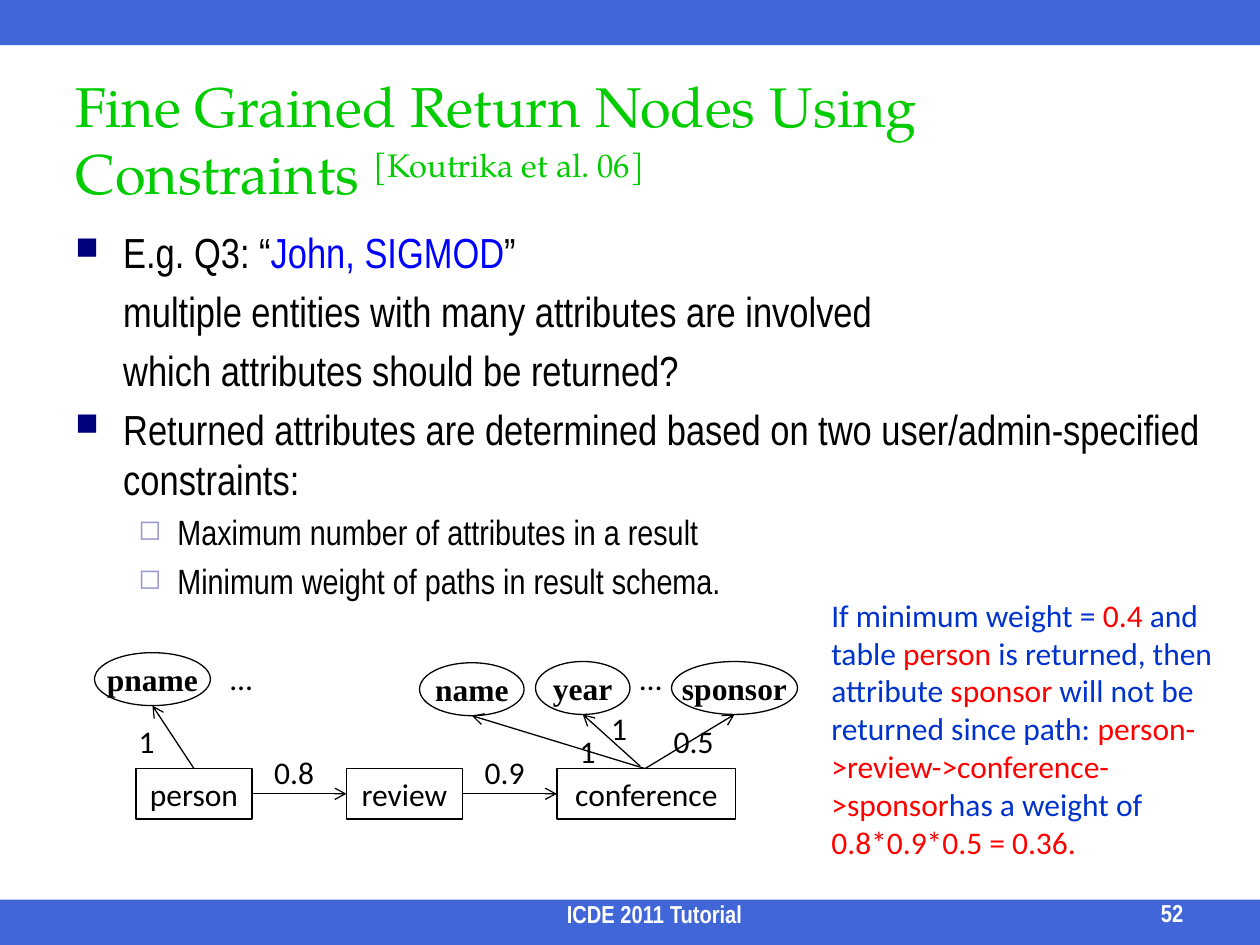
from lxml import etree
from pptx import Presentation
from pptx.dml.color import RGBColor
from pptx.enum.shapes import MSO_CONNECTOR, MSO_SHAPE
from pptx.enum.text import MSO_ANCHOR, PP_ALIGN
from pptx.oxml.ns import qn
from pptx.util import Inches, Pt

RECT, OVAL, STRAIGHT = MSO_SHAPE.RECTANGLE, MSO_SHAPE.OVAL, MSO_CONNECTOR.STRAIGHT
LEFT, CENTER, RIGHT = PP_ALIGN.LEFT, PP_ALIGN.CENTER, PP_ALIGN.RIGHT
TOP, MIDDLE, BOTTOM = MSO_ANCHOR.TOP, MSO_ANCHOR.MIDDLE, MSO_ANCHOR.BOTTOM

COLORS = {
    "black": "000000", "white": "FFFFFF", "blue": "0033CC", "query": "0000FF",
    "green": "00CC00", "red": "FF0000", "navy": "00007D", "lilac": "9999CC",
}
TITLE_FONT, BODY_FONT = "TeX Gyre Pagella", "Arial Narrow"
LABEL_FONT, ATTRIBUTE_FONT = "Calibri", "Times New Roman"


def rgb(color):
    return RGBColor.from_string(COLORS[color])


def add_xml(parent, tag, **attributes):
    child = etree.SubElement(parent, qn(tag))
    for key, value in attributes.items():
        child.set(key, str(value))
    return child


class SlideBuilder:
    def __init__(self, slide):
        self.shapes = slide.shapes

    def add_runs(self, paragraph, parts, size, font, bold=False, align=LEFT):
        """Fill a paragraph with (text, colour) parts that share one style."""
        paragraph.alignment = align
        for text, color in parts:
            run = paragraph.add_run()
            run.text = text
            run.font.size = Pt(size)
            run.font.name = font
            run.font.bold = bold
            run.font.color.rgb = rgb(color)

    def frame(self, left, top, width, height, anchor=TOP):
        box = self.shapes.add_textbox(Inches(left), Inches(top), Inches(width), Inches(height))
        box.text_frame.word_wrap = True
        box.text_frame.vertical_anchor = anchor
        return box.text_frame

    def text(self, box, parts, size=18, font=LABEL_FONT, bold=False, align=LEFT, anchor=TOP):
        paragraph = self.frame(*box, anchor).paragraphs[0]
        self.add_runs(paragraph, parts, size, font, bold, align)
        return paragraph

    def label(self, left, top, text):
        self.text((left, top, 0.67, 0.4), [(text, "black")], align=CENTER)

    def shape(self, kind, left, top, width, height):
        shape = self.shapes.add_shape(
            kind, Inches(left), Inches(top), Inches(width), Inches(height))
        shape.shadow.inherit = False
        return shape

    def bar(self, top):
        bar = self.shape(RECT, 0, top, 10, 0.36)
        bar.fill.solid()
        bar.fill.fore_color.rgb = rgb("blue")
        fill_color = bar._element.spPr.find(qn("a:solidFill")).find(qn("a:srgbClr"))
        add_xml(fill_color, "a:alpha", val=75000)
        bar.line.fill.background()

    def node(self, kind, left, top, width, height, name):
        node = self.shape(kind, left, top, width, height)
        node.fill.background()
        node.line.color.rgb = rgb("black")
        node.line.width = Pt(0.75)
        is_table = kind == RECT
        frame = node.text_frame
        frame.word_wrap = is_table
        frame.vertical_anchor = TOP if is_table else MIDDLE
        self.add_runs(frame.paragraphs[0], [(name, "black")], 18,
                      LABEL_FONT if is_table else ATTRIBUTE_FONT, not is_table, CENTER)

    def arrow(self, x1, y1, x2, y2):
        arrow = self.shapes.add_connector(
            STRAIGHT, Inches(x1), Inches(y1), Inches(x2), Inches(y2))
        arrow.line.color.rgb = rgb("black")
        arrow.line.width = Pt(0.75)
        properties = arrow._element.spPr
        add_xml(properties.find(qn("a:ln")), "a:tailEnd", type="arrow")
        add_xml(properties, "a:effectLst")

    def outline(self, box, items):
        """Add (parts, size, left margin, hang, bullet) items as paragraphs."""
        frame = self.frame(*box)
        for index, (parts, size, margin, hang, bullet) in enumerate(items):
            paragraph = frame.add_paragraph() if index else frame.paragraphs[0]
            self.add_runs(paragraph, parts, size, BODY_FONT)
            paragraph.space_before = Pt(size * 0.2)
            properties = paragraph._p.get_or_add_pPr()
            properties.set("marL", str(Inches(margin)))
            properties.set("indent", str(-Inches(hang)))
            if bullet:
                char, color, percent = bullet
                add_xml(add_xml(properties, "a:buClr"), "a:srgbClr", val=COLORS[color])
                add_xml(properties, "a:buSzPct", val=percent * 1000)
                add_xml(properties, "a:buChar", char=char)


def add_text(page):
    title = page.text(
        (0.5, 0.5, 9, 1.2),
        [("Fine Grained Return Nodes Using Constraints ", "green"),
         ("[Koutrika et al. 06]", "green")],
        size=32, font=TITLE_FONT, anchor=MIDDLE)
    title.runs[1].font._element.set("baseline", "30000")

    main_point = (24, 0.38, 0.38, ("■", "navy", 75))
    follow_up = (24, 0.38, 0, None)
    detail = (20, 0.81, 0.31, ("◻", "lilac", 80))
    page.outline((0.5, 1.75, 9.17, 2.75), [
        ([("E.g. Q3: “", "black"), ("John, SIGMOD", "query"), ("”", "black")], *main_point),
        ([("multiple entities with many attributes are involved", "black")], *follow_up),
        ([("which attributes should be returned?", "black")], *follow_up),
        ([("Returned attributes are determined based on two "
           "user/admin-specified constraints:", "black")], *main_point),
        ([("Maximum number of attributes in a result", "black")], *detail),
        ([("Minimum weight of paths in result schema.", "black")], *detail),
    ])

    page.text((6.5, 4.68, 3.5, 2.22), [
        ("If minimum weight = ", "blue"), ("0.4", "red"),
        (" and table ", "blue"), ("person", "red"),
        (" is returned, then attribute ", "blue"), ("sponsor", "red"),
        (" will not be returned since path: ", "blue"),
        ("person->review->conference->sponsor", "red"),
        ("has a weight of ", "blue"), ("0.8*0.9*0.5 = 0.36.", "red"),
    ])

    footer = {"size": 14, "font": BODY_FONT, "bold": True, "anchor": BOTTOM}
    page.text((2.32, 7.18, 5.75, 0.24), [("ICDE 2011 Tutorial", "white")],
              align=CENTER, **footer)
    page.text((8.23, 7.17, 1.26, 0.24), [("52", "white")], align=RIGHT, **footer)


def add_schema_graph(page):
    tables = [("person", 1.08, 0.92), ("review", 2.75, 0.92), ("conference", 4.42, 1.42)]
    for name, left, width in tables:
        page.node(RECT, left, 6.1, width, 0.4, name)
    for (_, left, width), (_, next_left, _), weight in zip(tables, tables[1:], ("0.8", "0.9")):
        page.arrow(left + width, 6.3, next_left, 6.3)
        page.label(left + width, 5.93, weight)

    attributes = [
        ("pname", 0.75, 5.18, 0.92, (1.54, 6.1), "1", (0.83, 5.68)),
        ("name", 3.33, 5.26, 0.83, (5.12, 6.1), "1", (4.33, 5.76)),
        ("year", 4.25, 5.25, 0.75, (5.08, 6.08), "1", (4.58, 5.58)),
        ("sponsor", 5.33, 5.25, 1, (5.12, 6.1), "0.5", (5.17, 5.68)),
    ]
    for name, left, top, width, start, weight, weight_at in attributes:
        page.node(OVAL, left, top, width, 0.42, name)
        page.arrow(*start, left + width / 2, top + 0.42)
        page.label(*weight_at, weight)
    for left in (1.58, 4.83):
        page.label(left, 5.18, "…")


def main():
    deck = Presentation()
    deck.slide_width, deck.slide_height = Inches(10), Inches(7.5)
    page = SlideBuilder(deck.slides.add_slide(deck.slide_layouts[6]))
    for top in (0, 7.14):
        page.bar(top)
    add_text(page)
    add_schema_graph(page)
    deck.save("out.pptx")


if __name__ == "__main__":
    main()
